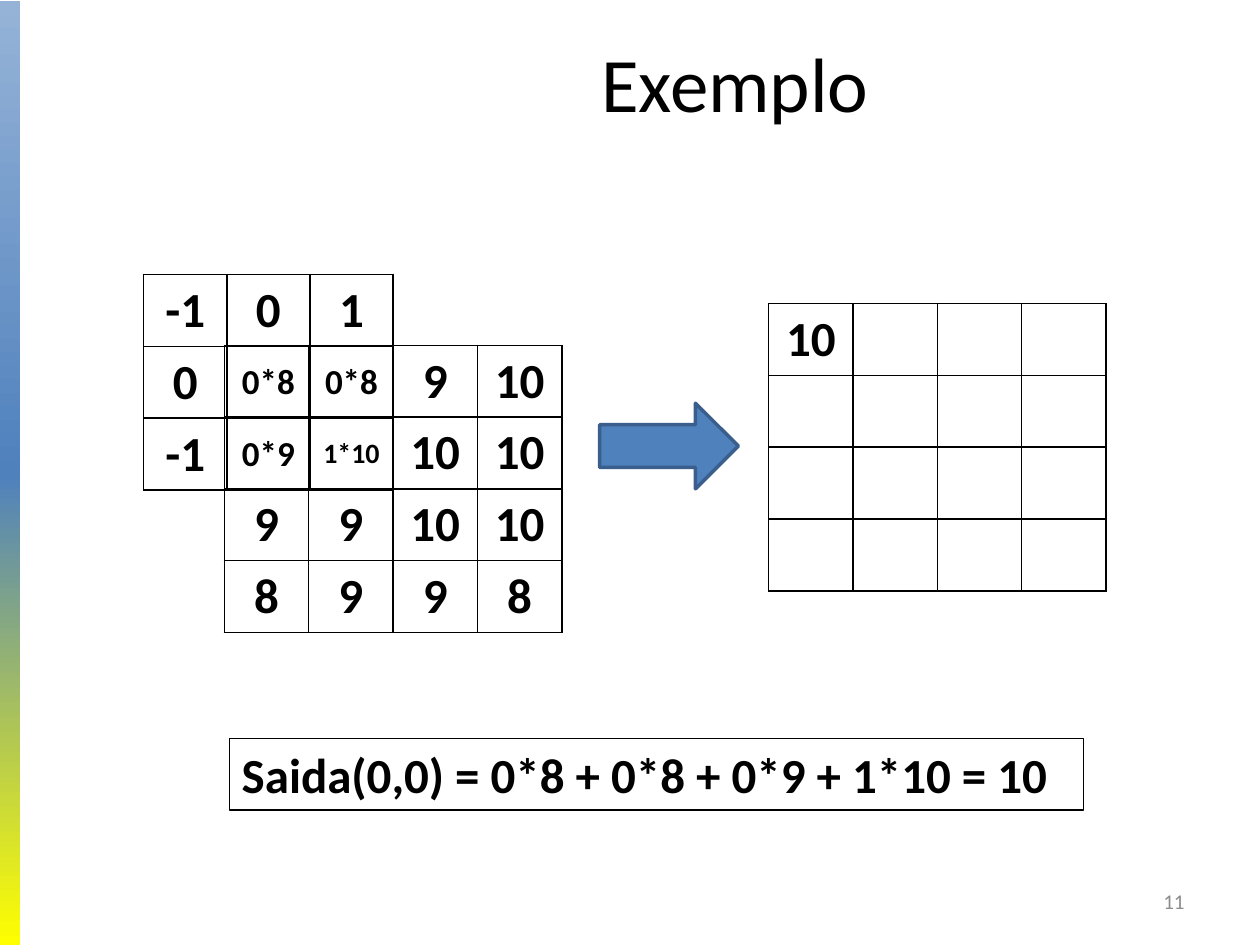
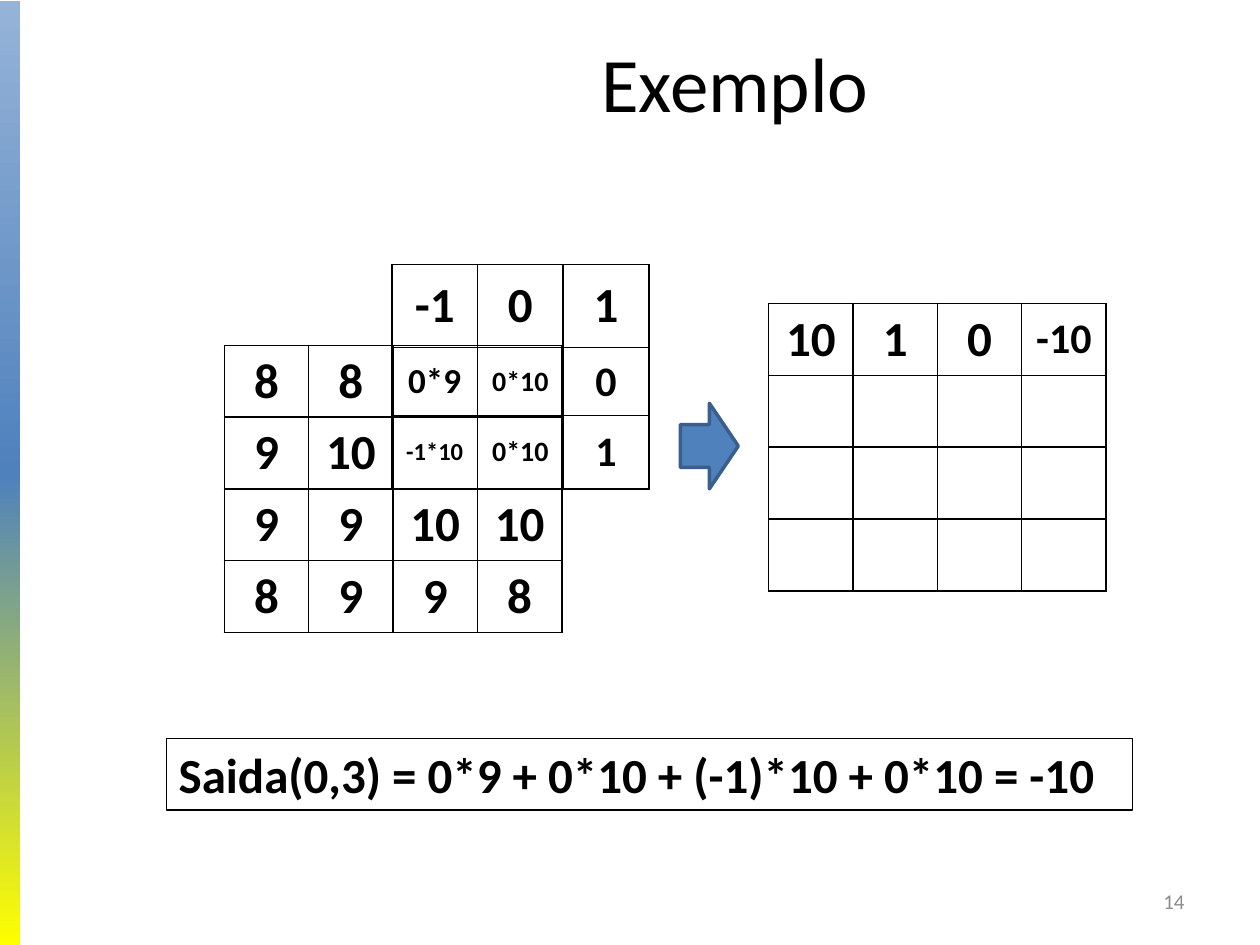
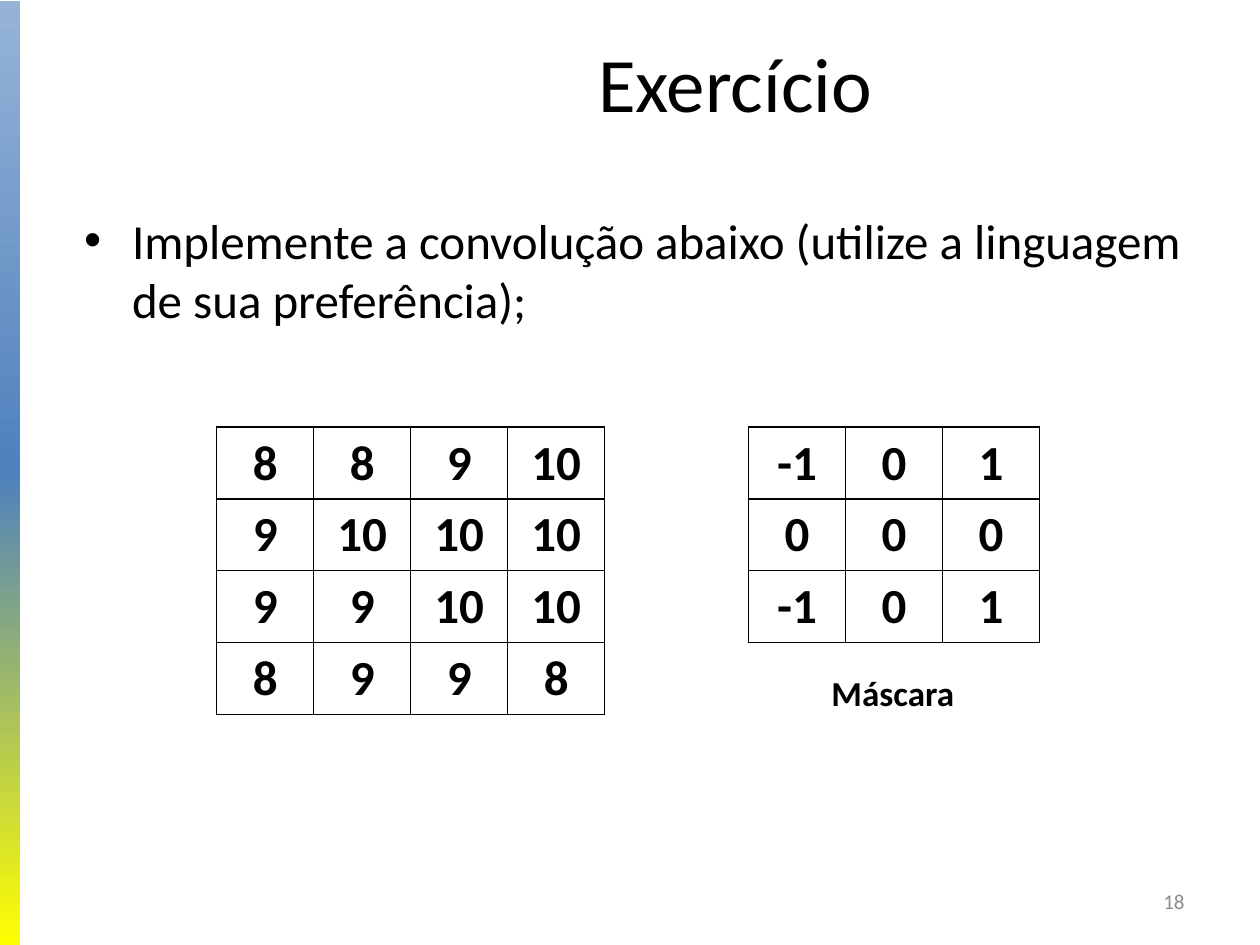
from copy import deepcopy
from dataclasses import dataclass

from lxml.etree import SubElement
from pptx import Presentation
from pptx.dml.color import RGBColor
from pptx.enum.shapes import MSO_SHAPE
from pptx.enum.text import MSO_ANCHOR, MSO_AUTO_SIZE, PP_ALIGN
from pptx.oxml.ns import qn
from pptx.presentation import Presentation as Deck
from pptx.shapes.autoshape import Shape
from pptx.slide import Slide
from pptx.util import Inches, Pt


@dataclass(frozen=True)
class Theme:
    font: str = "Calibri"
    black: RGBColor = RGBColor(0x00, 0x00, 0x00)
    gray: RGBColor = RGBColor(0x8C, 0x8C, 0x8C)
    blue: RGBColor = RGBColor(0x4F, 0x81, 0xBD)
    dark_blue: RGBColor = RGBColor(0x3A, 0x5F, 0x8C)
    light_blue: RGBColor = RGBColor(0x95, 0xB3, 0xD7)
    yellow: RGBColor = RGBColor(0xFF, 0xFF, 0x00)
    title: int = 44
    text: int = 28
    smaller: int = 24
    caption: int = 20
    number: int = 12
    # Products shrink as their text gets longer
    products: tuple[tuple[int, int], ...] = ((3, 20), (4, 16), (5, 14))


THEME = Theme()
Rows = tuple[tuple[str, ...], ...]


@dataclass(frozen=True)
class Area:
    left: float
    top: float
    width: float
    height: float

    def lengths(self) -> tuple[Inches, ...]:
        return tuple(map(Inches, (self.left, self.top, self.width, self.height)))


@dataclass(frozen=True)
class Grid:
    left: float
    top: float
    column_width: float
    rows: Rows
    row_heights: tuple[float, ...] = (0.57,) * 4
    smaller_cells: tuple[tuple[int, int], ...] = ()


@dataclass(frozen=True)
class Example:
    number: str
    covered_columns: tuple[int, int]
    mask: Grid
    result: tuple[str, ...]
    arrow: Area
    formula_box: Area
    formula: str
    smaller_results: tuple[tuple[int, int], ...] = ()


IMAGE: Rows = (("8", "8", "9", "10"), ("9", "10", "10", "10"),
               ("9", "9", "10", "10"), ("8", "9", "9", "8"))
MASK: Rows = (("-1", "0", "1"), ("0", "0", "0"), ("-1", "0", "1"))

EXAMPLES = (
    Example("11", (0, 1),
            Grid(1.14, 2.18, 0.66, (("-1", "0", "1"), ("0", "0*8", "0*8"),
                                    ("-1", "0*9", "1*10"))),
            ("10", "", "", ""), Area(4.76, 3.2, 1.1, 0.68),
            Area(1.82, 5.86, 6.78, 0.57),
            "Saida(0,0) = 0*8 + 0*8 + 0*9 + 1*10 = 10 "),
    Example("14", (2, 3),
            Grid(3.11, 2.1, 0.68, (("-1", "0", "1"), ("0*9", "0*10", "0"),
                                   ("-1*10", "0*10", "1")),
                 (0.66, 0.54, 0.58), ((1, 2), (2, 2))),
            ("10", "1", "0", "-10"), Area(5.4, 3.2, 0.46, 0.68),
            Area(1.32, 5.86, 7.67, 0.57),
            "Saida(0,3) = 0*9 + 0*10 + (-1)*10 + 0*10 = -10 ", ((0, 3),)),
)


# Text
def write(frame, text: str, size: int, color: RGBColor = THEME.black,
          align: PP_ALIGN = PP_ALIGN.LEFT, bold: bool = False):
    para = frame.paragraphs[0]
    para.alignment = align
    span = para.add_run()
    span.text = text
    span.font.name = THEME.font
    span.font.size = Pt(size)
    span.font.bold = bold
    span.font.color.rgb = color
    return para


def add_text(page: Slide, area: Area, text: str, size: int,
             color: RGBColor = THEME.black, align: PP_ALIGN = PP_ALIGN.LEFT,
             anchor: MSO_ANCHOR = MSO_ANCHOR.MIDDLE, bold: bool = False,
             wrap: bool = True):
    frame = page.shapes.add_textbox(*area.lengths()).text_frame
    frame.word_wrap = wrap
    frame.vertical_anchor = anchor
    return write(frame, text, size, color, align, bold)


# Shapes
def add_shape(page: Slide, kind: MSO_SHAPE, area: Area) -> Shape:
    shape = page.shapes.add_shape(kind, *area.lengths())
    shape.shadow.inherit = False
    return shape


def add_side_band(page: Slide) -> None:
    band = add_shape(page, MSO_SHAPE.RECTANGLE, Area(-0.04, 0.01, 0.2, 7.5))
    band.line.fill.background()
    band.fill.gradient()
    band.fill.gradient_angle = 270
    stop_list = band.element.find(".//" + qn("a:gsLst"))
    stop_list.append(deepcopy(stop_list[-1]))
    colors = (THEME.light_blue, THEME.blue, THEME.yellow)
    for stop, position, color in zip(band.fill.gradient_stops, (0, 0.5, 1), colors):
        stop.position = position
        stop.color.rgb = color


def add_arrow(page: Slide, area: Area) -> None:
    arrow = add_shape(page, MSO_SHAPE.RIGHT_ARROW, area)
    arrow.fill.solid()
    arrow.fill.fore_color.rgb = THEME.blue
    arrow.line.color.rgb = THEME.dark_blue
    arrow.line.width = Pt(2)


def add_formula(page: Slide, area: Area, formula: str) -> None:
    box = add_shape(page, MSO_SHAPE.RECTANGLE, area)
    box.fill.background()
    box.line.color.rgb = THEME.black
    box.line.width = Pt(0.75)
    frame = box.text_frame
    frame.word_wrap = False
    frame.auto_size = MSO_AUTO_SIZE.SHAPE_TO_FIT_TEXT
    frame.vertical_anchor = MSO_ANCHOR.TOP
    write(frame, formula, THEME.text, bold=True)


# Number grids
def add_borders(cell) -> None:
    properties = cell._tc.get_or_add_tcPr()
    for index, side in enumerate(("a:lnL", "a:lnR", "a:lnT", "a:lnB")):
        line = properties.makeelement(qn(side), {"w": str(Pt(1))})
        properties.insert(index, line)
        fill = SubElement(line, qn("a:solidFill"))
        SubElement(fill, qn("a:srgbClr"), val=str(THEME.black))


def cell_size(text: str, smaller: bool) -> int:
    if "*" in text:
        return dict(THEME.products)[len(text)]
    return THEME.smaller if smaller else THEME.text


def add_grid(page: Slide, grid: Grid) -> None:
    columns = len(grid.rows[0])
    heights = grid.row_heights[:len(grid.rows)]
    area = Area(grid.left, grid.top, columns * grid.column_width, sum(heights))
    table = page.shapes.add_table(len(grid.rows), columns, *area.lengths()).table
    table.first_row = table.horz_banding = False
    for column in table.columns:
        column.width = Inches(grid.column_width)
    for row_index, (texts, height) in enumerate(zip(grid.rows, heights)):
        table.rows[row_index].height = Inches(height)
        for column_index, text in enumerate(texts):
            cell = table.cell(row_index, column_index)
            cell.fill.background()
            cell.vertical_anchor = MSO_ANCHOR.MIDDLE
            add_borders(cell)
            if text:
                smaller = (row_index, column_index) in grid.smaller_cells
                write(cell.text_frame, text, cell_size(text, smaller),
                      align=PP_ALIGN.CENTER, bold=True)


def uncovered_image(columns: tuple[int, int]) -> Rows:
    """Blank the cells of the first two rows that lie under the mask."""
    return tuple(tuple("" if row < 2 and column in columns else text
                       for column, text in enumerate(texts))
                 for row, texts in enumerate(IMAGE))


# Slides
def add_page(deck: Deck, title: str, number: str) -> Slide:
    page = deck.slides.add_slide(deck.slide_layouts[6])
    add_side_band(page)
    add_text(page, Area(2.17, 0.13, 7.33, 1.03), title, THEME.title,
             align=PP_ALIGN.CENTER)
    add_text(page, Area(7.17, 6.95, 2.33, 0.4), number, THEME.number,
             THEME.gray, PP_ALIGN.RIGHT)
    return page


def add_example(deck: Deck, example: Example) -> None:
    page = add_page(deck, "Exemplo", example.number)
    add_grid(page, Grid(1.78, 2.74, 0.67, uncovered_image(example.covered_columns)))
    add_grid(page, example.mask)
    result = (example.result,) + (("",) * 4,) * 3
    add_grid(page, Grid(6.1, 2.41, 0.67, result,
                        smaller_cells=example.smaller_results))
    add_arrow(page, example.arrow)
    add_formula(page, example.formula_box, example.formula)


def add_exercise(deck: Deck) -> None:
    page = add_page(deck, "Exercício", "18")
    para = add_text(page, Area(0.57, 1.62, 9, 4.95),
                    "Implemente a convolução abaixo (utilize a linguagem "
                    "de sua preferência);", THEME.text, anchor=MSO_ANCHOR.TOP)
    para.space_before = Pt(5.6)
    properties = para._p.get_or_add_pPr()
    properties.set("marL", str(Inches(0.38)))
    properties.set("indent", str(-Inches(0.38)))
    SubElement(properties, qn("a:buFont"), typeface="Arial")
    SubElement(properties, qn("a:buChar"), char="•")
    add_grid(page, Grid(1.72, 3.39, 0.77, IMAGE))
    add_grid(page, Grid(5.94, 3.39, 0.77, MASK))
    add_text(page, Area(6.5, 5.28, 1.18, 0.44), "Máscara", THEME.caption,
             anchor=MSO_ANCHOR.TOP, bold=True, wrap=False)


def main() -> None:
    deck = Presentation()
    deck.slide_width, deck.slide_height = Inches(10), Inches(7.5)
    for example in EXAMPLES:
        add_example(deck, example)
    add_exercise(deck)
    deck.save("out.pptx")


if __name__ == "__main__":
    main()
